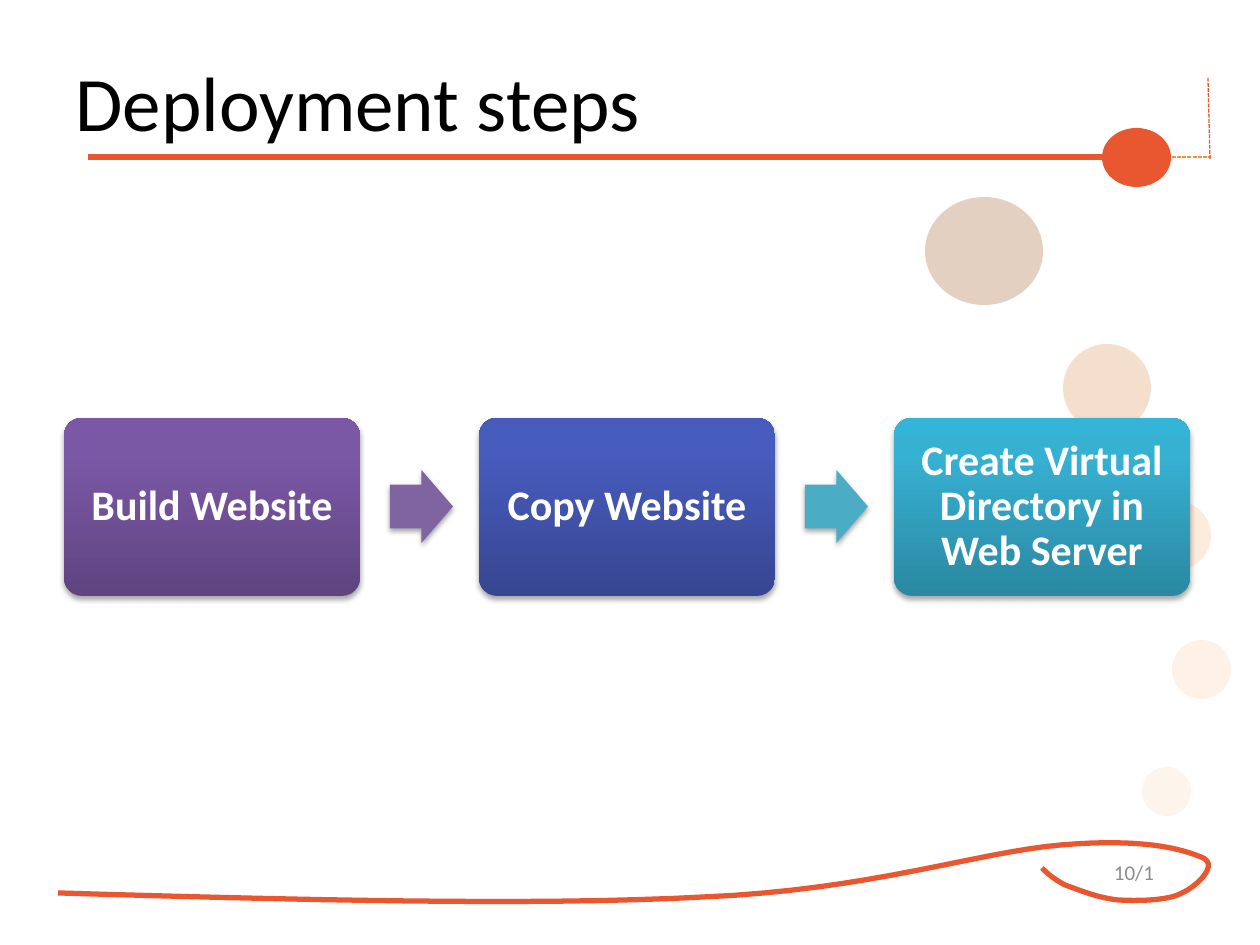
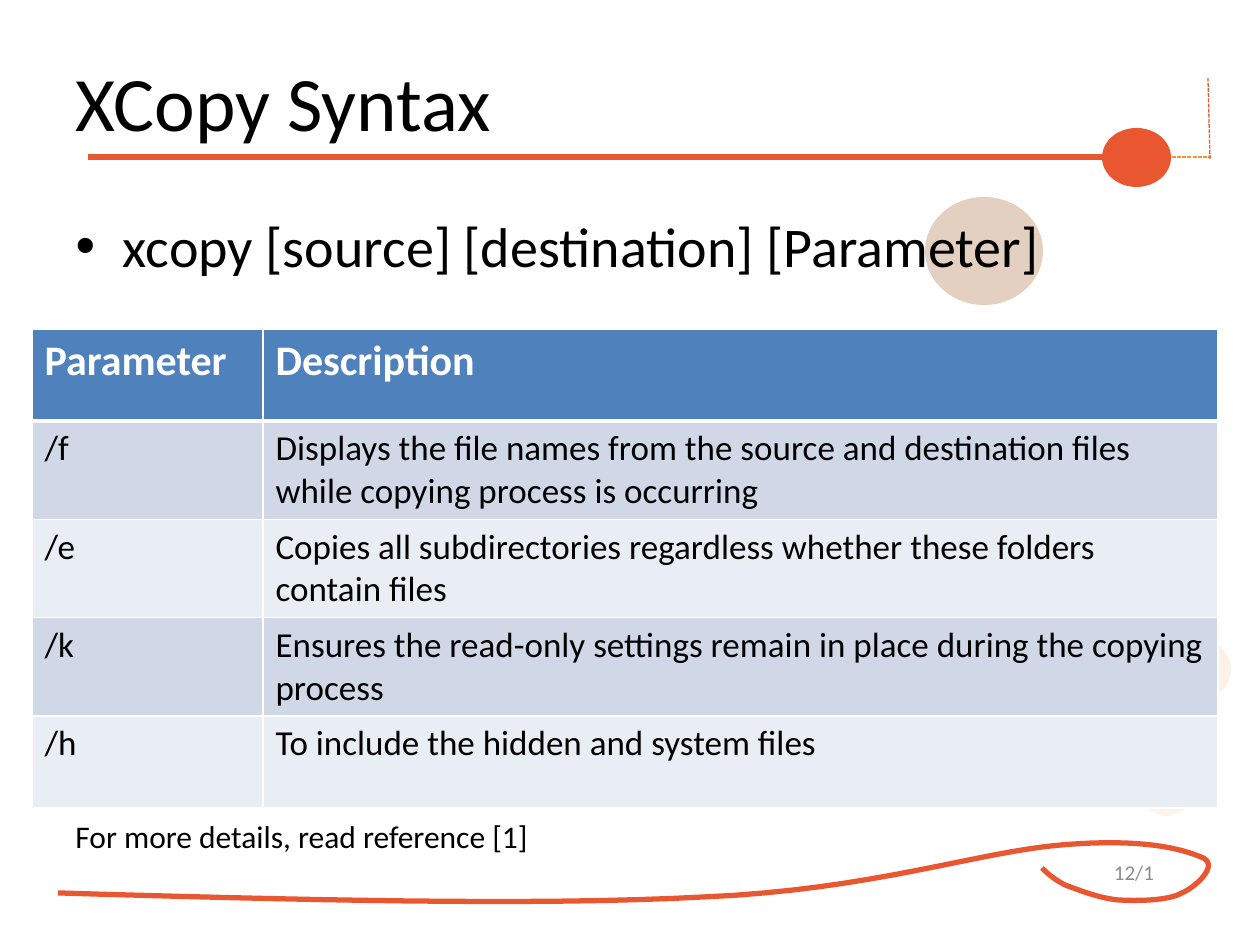
from copy import deepcopy

from pptx import Presentation
from pptx.dml.color import RGBColor
from pptx.enum.dml import MSO_LINE
from pptx.enum.shapes import MSO_CONNECTOR, MSO_SHAPE
from pptx.enum.text import MSO_ANCHOR as Anchor, PP_ALIGN as Align
from pptx.oxml.ns import qn
from pptx.oxml.xmlchemy import OxmlElement
from pptx.util import Emu, Pt

# Shared look
EMU_PER_PX = 914400 / 126
FONT = "Calibri"
ORANGE, BLACK, WHITE, GREY = "E85730", "000000", "FFFFFF", "8C8C8C"
HEADER_BLUE, BAND_DARK, BAND_LIGHT = "4F81BD", "D0D8E8", "E9EDF4"
TITLE_ONLY, TITLE_AND_BODY = 5, 1

# Left, top, width, height, colour, opacity in percent
BUBBLES = [
    (925, 197, 118, 108, "904406", 25),
    (1063, 344, 88, 88, "C85F08", 20),
    (1142, 501, 69, 69, "F57B17", 15),
    (1172, 640, 59, 59, "F67B16", 10),
    (1142, 767, 49, 49, "F59545", 10),
    (1102, 128, 69, 59, ORANGE, 100),
]

# Start of the swirl, then two control points and an end point per curve
SWIRL_START = (58, 893)
SWIRL_CURVES = [
    ((297, 900), (537, 906), (704, 897)),
    ((871, 890), (978, 852), (1061, 845)),
    ((1144, 838), (1181, 849), (1201, 857)),
    ((1221, 864), (1196, 887), (1182, 893)),
    ((1168, 901), (1137, 901), (1118, 900)),
    ((1098, 898), (1079, 890), (1065, 885)),
    ((1052, 878), (1047, 873), (1042, 868)),
]

# Label, gradient from bottom to top, colour of the arrow that follows
STEPS = [
    ("Build Website", ("5F4480", "7B58A6", "7C57A8"), "8064A2"),
    ("Copy Website", ("374691", "475BBC", "455ABF"), "4BACC6"),
    ("Create Virtual Directory in Web Server",
     ("2A88A2", "37B1D2", "34B4D6"), None),
]

PARAMETERS = [
    ("Parameter", "Description"),
    ("/f", "Displays the file names from the source and destination files "
           "while copying process is occurring"),
    ("/e", "Copies all subdirectories regardless whether these folders "
           "contain files"),
    ("/k", "Ensures the read-only settings remain in place during the "
           "copying process"),
    ("/h", "To include the hidden and system files"),
]


def px(*lengths):
    return [Emu(round(length * EMU_PER_PX)) for length in lengths]


def rgb(color):
    return RGBColor.from_string(color)


def add_xml(parent, tag, **attributes):
    child = OxmlElement(tag)
    for name, value in attributes.items():
        child.set(name, str(value))
    parent.append(child)
    return child


def write(text_frame, text, size, color, bold=False, align=Align.LEFT):
    text_frame.text = text
    paragraph = text_frame.paragraphs[0]
    paragraph.alignment = align
    font = paragraph.font
    font.name, font.size, font.bold = FONT, Pt(size), bold
    font.color.rgb = rgb(color)
    return paragraph


# Kinds of element
def add_shape(slide, kind, box, color=None, opacity=100):
    shape = slide.shapes.add_shape(kind, *px(*box))
    shape.shadow.inherit = False
    shape.line.fill.background()
    if color:
        shape.fill.solid()
        shape.fill.fore_color.rgb = rgb(color)
    if opacity < 100:
        color_element = shape.element.spPr.find(".//" + qn("a:srgbClr"))
        add_xml(color_element, "a:alpha", val=opacity * 1000)
    return shape


def add_shadow(shape):
    effects = shape.element.spPr.find(qn("a:effectLst"))
    shadow = add_xml(effects, "a:outerShdw", blurRad=Pt(3.1), dist=Pt(1.8),
                     dir=90 * 60000, rotWithShape=0)
    color = add_xml(shadow, "a:srgbClr", val=BLACK)
    add_xml(color, "a:alpha", val=35000)


def fill_gradient(shape, colors):
    fill = shape.fill
    fill.gradient()
    fill.gradient_angle = 90
    stop_list = shape.element.spPr.find(".//" + qn("a:gsLst"))
    stop_list.append(deepcopy(stop_list[-1]))
    for stop, position, color in zip(fill.gradient_stops, (0, 0.8, 1), colors):
        stop.position = position
        stop.color.rgb = rgb(color)


def add_line(slide, ends, width, color=ORANGE, dash=None):
    connector = slide.shapes.add_connector(MSO_CONNECTOR.STRAIGHT, *px(*ends))
    connector.line.color.rgb = rgb(color)
    connector.line.width = Pt(width)
    if dash:
        connector.line.dash_style = dash
    add_xml(connector.element.spPr, "a:effectLst")


def add_text(slide, box, text, size, color, wrap=True, align=Align.LEFT):
    frame = slide.shapes.add_textbox(*px(*box)).text_frame
    frame.word_wrap = wrap
    frame.vertical_anchor = Anchor.MIDDLE
    write(frame, text, size, color, align=align)


def fill_placeholder(placeholder, box, text, size):
    placeholder.left, placeholder.top, placeholder.width, placeholder.height = px(*box)
    write(placeholder.text_frame, text, size, BLACK)
    # Bring the text in front of the decoration
    placeholder.element.getparent().append(placeholder.element)


def curve_points(start, curves, steps=16):
    for first, second, end in curves:
        for step in range(1, steps + 1):
            t = step / steps
            u = 1 - t
            weights = (u ** 3, 3 * u * u * t, 3 * u * t * t, t ** 3)
            corners = (start, first, second, end)
            yield px(*(sum(w * corner[axis] for w, corner in zip(weights, corners))
                       for axis in (0, 1)))
        start = end


def add_swirl(slide):
    builder = slide.shapes.build_freeform(*px(*SWIRL_START))
    builder.add_line_segments(curve_points(SWIRL_START, SWIRL_CURVES), close=False)
    swirl = builder.convert_to_shape()
    swirl.shadow.inherit = False
    swirl.fill.background()
    swirl.line.color.rgb = rgb(ORANGE)
    swirl.line.width = Pt(3)


def add_base_slide(presentation, layout, title, number):
    slide = presentation.slides.add_slide(presentation.slide_layouts[layout])
    add_text(slide, (1092, 847, 84, 50), number, 12, GREY, align=Align.CENTER)
    add_swirl(slide)
    add_line(slide, (88, 157, 1102, 157), 3)
    for *box, color, opacity in BUBBLES:
        add_shape(slide, MSO_SHAPE.OVAL, box, color, opacity)
    add_line(slide, (1172, 157, 1211, 157), 0.75, "F6903C", MSO_LINE.SQUARE_DOT)
    add_line(slide, (1210, 159, 1208, 78), 0.75, dash=MSO_LINE.SQUARE_DOT)
    fill_placeholder(slide.shapes.title, (63, 25, 1144, 152), title, 44)
    return slide


def add_step(slide, left, label, gradient, arrow_color):
    box = add_shape(slide, MSO_SHAPE.ROUNDED_RECTANGLE, (left, 418, 296, 178))
    box.adjustments[0] = 0.1
    fill_gradient(box, gradient)
    add_shadow(box)
    frame = box.text_frame
    frame.word_wrap = True
    frame.vertical_anchor = Anchor.MIDDLE
    (inset,) = px(12)
    frame.margin_left = frame.margin_right = inset
    frame.margin_top = frame.margin_bottom = inset
    write(frame, label, 24, WHITE, True, Align.CENTER).line_spacing = 0.9
    if arrow_color:
        arrow = add_shape(slide, MSO_SHAPE.RIGHT_ARROW,
                          (left + 326, 470, 63, 73), arrow_color)
        arrow.adjustments[0] = 0.6
        add_shadow(arrow)


def set_borders(cell, top, bottom):
    properties = cell._tc.get_or_add_tcPr()
    for side, width in (("L", 1), ("R", 1), ("T", top), ("B", bottom)):
        line = add_xml(properties, "a:ln" + side, w=Pt(width))
        add_xml(add_xml(line, "a:solidFill"), "a:srgbClr", val=WHITE)


def add_parameter_table(slide, rows, left, top, column_widths, row_height):
    box = px(left, top, sum(column_widths), row_height * len(rows))
    table = slide.shapes.add_table(len(rows), len(column_widths), *box).table
    for column, width in zip(table.columns, px(*column_widths)):
        column.width = width
    for index, texts in enumerate(rows):
        header = index == 0
        band = HEADER_BLUE if header else BAND_DARK if index % 2 else BAND_LIGHT
        (table.rows[index].height,) = px(row_height)
        for cell, text in zip(table.rows[index].cells, texts):
            set_borders(cell, 3 if index == 1 else 1, 3 if header else 1)
            cell.fill.solid()
            cell.fill.fore_color.rgb = rgb(band)
            write(cell.text_frame, text, 24 if header else 20,
                  WHITE if header else BLACK, header)


# Slides
def build_deployment_steps(presentation):
    slide = add_base_slide(presentation, TITLE_ONLY, "Deployment steps", "10/1")
    for index, step in enumerate(STEPS):
        add_step(slide, 64 + 415 * index, *step)


def build_xcopy_syntax(presentation):
    slide = add_base_slide(presentation, TITLE_AND_BODY, "XCopy Syntax", "12/1")
    fill_placeholder(slide.placeholders[1], (63, 205, 1134, 102),
                     "xcopy [source] [destination] [Parameter]", 32)
    add_parameter_table(slide, PARAMETERS, 32, 329, (231, 955), 92)
    add_text(slide, (63, 811, 485, 50), "For more details, read reference [1]",
             18, BLACK, wrap=False)


def main():
    presentation = Presentation()
    presentation.slide_width, presentation.slide_height = px(1260, 945)
    build_deployment_steps(presentation)
    build_xcopy_syntax(presentation)
    presentation.save("out.pptx")


if __name__ == "__main__":
    main()
